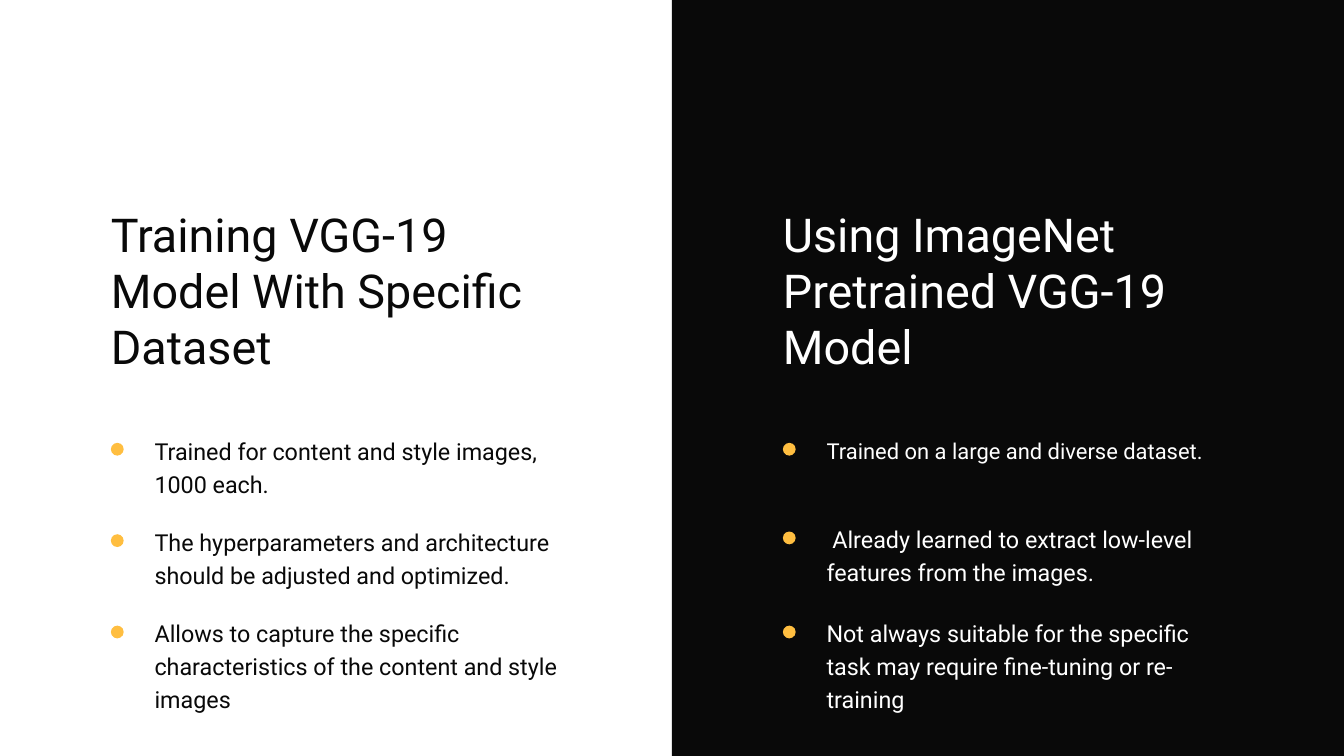
from lxml import etree
from pptx import Presentation
from pptx.dml.color import RGBColor
from pptx.enum import shapes, text
from pptx.oxml.ns import qn
from pptx.util import Inches, Pt

DARK, WHITE, GOLD = "090909", "FFFFFF", "FFBE40"
DOT = 0.19

# Items: text, font size, line height, space before (points), top of dot (inches)
SIDES = [
    {"left": 1.65, "color": DARK,
     "head": "Training VGG-19 Model With Specific Dataset",
     "items": [
         ("Trained for content and style images, 1000 each.", 25, 35, 0, 6.59),
         ("The hyperparameters and architecture should be adjusted and optimized.",
          25, 35, 27.5, 7.95),
         ("Allows to capture the specific characteristics of the content and style images",
          25, 35, 27.5, 9.31)]},
    {"left": 11.65, "color": WHITE,
     "head": "Using ImageNet Pretrained VGG-19 Model",
     "items": [
         ("Trained on a large and diverse dataset.", 23.5, 32.9, 0, 6.59),
         (" Already learned to extract low-level features from the images.",
          25, 35, 61.5, 7.91),
         ("Not always suitable for the specific task may require fine-tuning or re-training",
          25, 35, 30.5, 9.31)]},
]


def rgb(code):
    return RGBColor.from_string(code)


def draw(slide, kind, color, left, top, width, height):
    """Add a plain filled shape without line or shadow."""
    shape = slide.shapes.add_shape(
        kind, Inches(left), Inches(top), Inches(width), Inches(height))
    shape.shadow.inherit = False
    shape.fill.solid()
    shape.fill.fore_color.rgb = rgb(color)
    shape.line.fill.background()
    return shape


def place(box, left, top, width, height):
    box.left, box.top = Inches(left), Inches(top)
    box.width, box.height = Inches(width), Inches(height)
    frame = box.text_frame
    frame.margin_left = frame.margin_right = 0
    frame.margin_top = frame.margin_bottom = 0
    frame.word_wrap = True
    frame.auto_size = text.MSO_AUTO_SIZE.NONE
    frame.vertical_anchor = text.MSO_ANCHOR.TOP


def style(para, size, line, color, before=0):
    para.alignment = text.PP_ALIGN.LEFT
    para.line_spacing = Pt(line)
    para.space_before = Pt(before)
    for run in para.runs:
        run.font.name = "Roboto"
        run.font.size = Pt(size)
        run.font.color.rgb = rgb(color)


def unbullet(para):
    """Drop the template's bullet and indent; the dots are drawn."""
    props = para._p.get_or_add_pPr()
    props.set("marL", "0")
    props.set("indent", "0")
    etree.SubElement(props, qn("a:buNone"))


def main():
    deck = Presentation()
    deck.slide_width, deck.slide_height = Inches(20), Inches(11.25)
    slide = deck.slides.add_slide(deck.slide_layouts[3])  # Two Content
    title, *lists = slide.placeholders

    panel = draw(slide, shapes.MSO_SHAPE.RECTANGLE, DARK, 10, 0, 10, 11.25)
    slide.shapes._spTree.insert(2, panel._element)  # send to back

    heads = [title, slide.shapes.add_textbox(0, 0, 0, 0)]
    for side, head, body in zip(SIDES, heads, lists):
        left, color = side["left"], side["color"]
        place(head, left, 3.07, 6.71, 2.51)
        head.text_frame.text = side["head"]
        style(head.text_frame.paragraphs[0], 50, 60, color)

        place(body, left + 0.65, 6.44, 6.05, 4.12)
        frame = body.text_frame
        frame.text = "\n".join(item[0] for item in side["items"])
        for para, item in zip(frame.paragraphs, side["items"]):
            _, size, line, gap, top = item
            unbullet(para)
            style(para, size, line, color, gap)
            draw(slide, shapes.MSO_SHAPE.OVAL, GOLD, left, top, DOT, DOT)

    deck.save("out.pptx")


if __name__ == "__main__":
    main()
